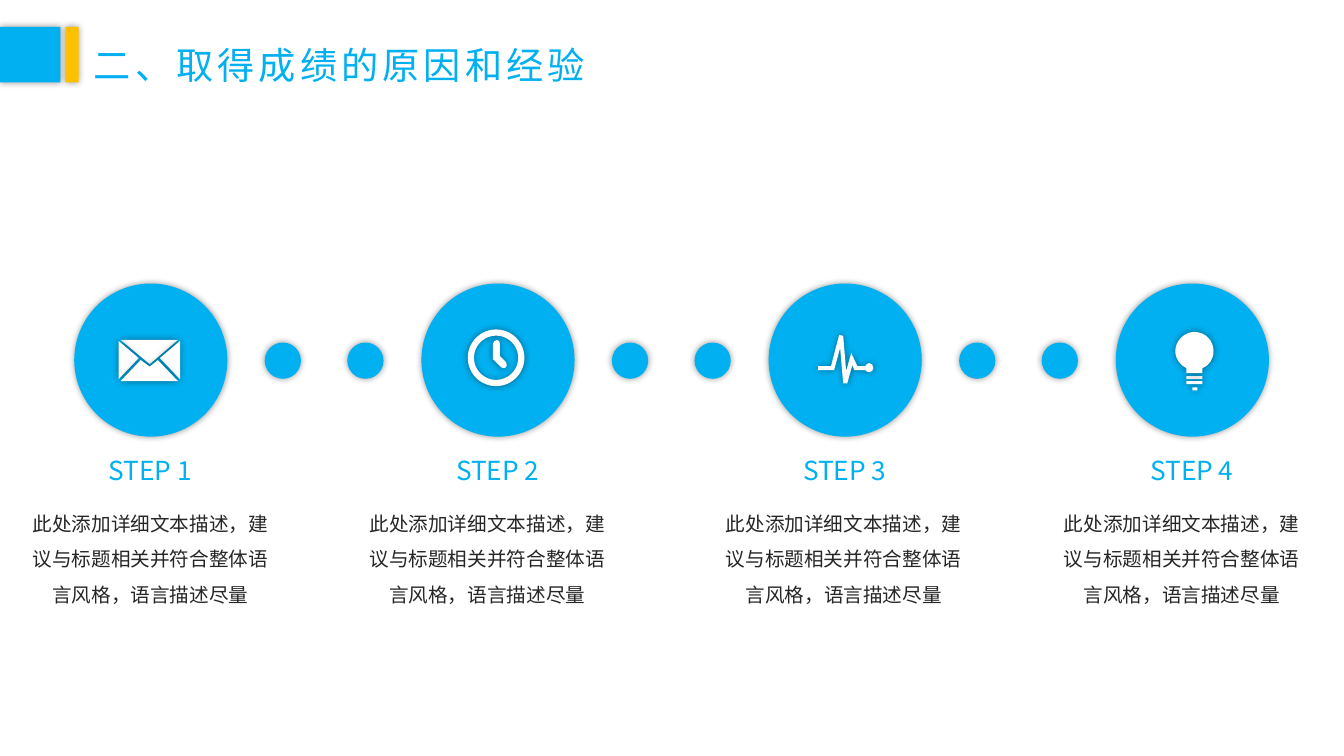
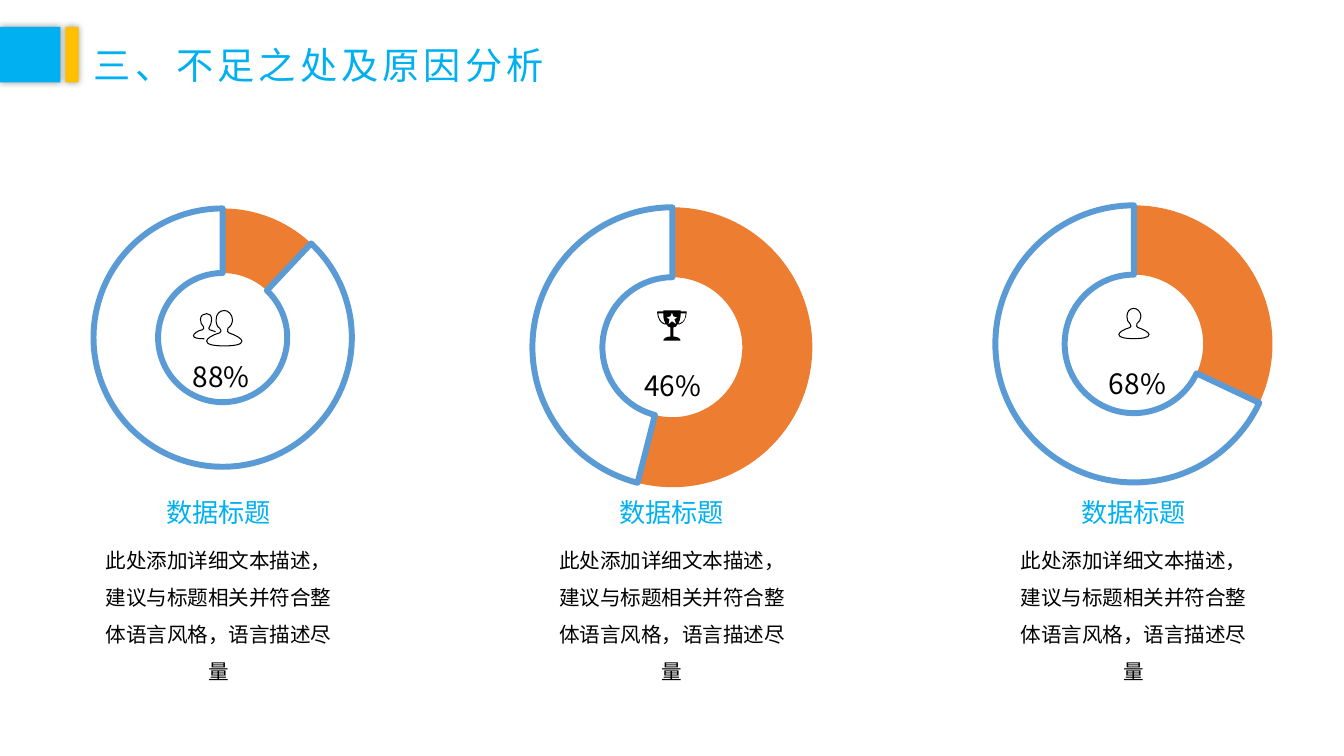
from lxml.etree import SubElement
from pptx import Presentation
from pptx.chart.data import CategoryChartData
from pptx.dml.color import RGBColor
from pptx.enum.chart import XL_CHART_TYPE
from pptx.enum.shapes import MSO_SHAPE
from pptx.enum.text import MSO_ANCHOR, MSO_AUTO_SIZE, PP_ALIGN
from pptx.oxml import parse_xml
from pptx.oxml.ns import nsdecls, qn
from pptx.util import Pt

BLUE, AMBER, ORANGE, RING = "00B0F0", "FFC000", "ED7D31", "5B9BD5"
WHITE, BLACK, DARK, TROPHY_BLACK = "FFFFFF", "000000", "262626", "040000"
FONT = "Noto Sans CJK SC"
DESCRIPTION = "此处添加详细文本描述，建议与标题相关并符合整体语言风格，语言描述尽量"

HEADING = {"size": Pt(18.65), "name": FONT}
STEP_BODY = {"size": Pt(14), "name": FONT}
DATA_BODY = {"size": Pt(14.65), "name": FONT}
TITLE = {"size": Pt(26.55), "name": FONT, "bold": False}
LABEL = {"size": Pt(20), "name": FONT, "bold": False}

ENVELOPE = [
    [(33.1, 40.3), (74.2, 40.3), (54, 57.6)],
    [(75.6, 41), (61.2, 53.3), (75.6, 68.4)],
    [(31.7, 41), (46.1, 53.3), (31.7, 68.4)],
    [(59.8, 54.7), (54, 59.4), (47.5, 54.7), (33.1, 69.8), (74.2, 69.8)],
]
CLOCK_HAND = [
    (59, 60.5), (58.3, 60.5, 57.6, 60.5, 56.9, 59.8), (51.8, 54.7),
    (51.1, 54.7, 51.1, 54, 51.1, 53.3), (51.1, 43.2),
    (51.1, 41.8, 52.6, 40.3, 54, 40.3), (55.4, 40.3, 56.2, 41.8, 56.2, 43.2),
    (56.2, 51.8), (60.5, 56.2), (61.2, 57.6, 61.2, 59, 60.5, 59.8),
]
PULSE = [
    (72, 56.9), (70.6, 56.9, 69.8, 57.6, 69.1, 59), (63.4, 59), (59, 49.7),
    (55.4, 62.6), (53.3, 37.4), (50.4, 36.7), (44.6, 59), (35.3, 59),
    (35.3, 61.9), (46.8, 61.9), (51.1, 46.1), (53.3, 71.3), (56.2, 71.3),
    (59.8, 58.3), (61.2, 61.9), (69.1, 61.9), (69.8, 62.6, 70.6, 63.4, 72, 63.4),
    (73.4, 63.4, 74.9, 61.9, 74.9, 60.5), (74.9, 58.3, 73.4, 56.9, 72, 56.9),
]
BULB = [
    (69.8, 48.2), (69.8, 41, 64.1, 34.6, 56.2, 34.6),
    (49, 34.6, 42.5, 41, 42.5, 48.2), (42.5, 54, 46.1, 58.3, 50.4, 60.5),
    (50.4, 64.1), (61.9, 64.1), (61.9, 60.5), (67, 58.3, 69.8, 54, 69.8, 48.2),
]
BULB_BASE = [(50.4, 66.2, 11.5, 2.2), (50.4, 69.8, 11.5, 2.2), (54.7, 74.2, 3.6, 2.2)]
PERSON = [
    (13.7, 13.7), (13, 13.7, 12.2, 12.2, 13, 10.8), (14.4, 10.1, 15.8, 7.9, 15.8, 5.8),
    (15.8, 2.2, 13, 0, 10.8, 0), (7.9, 0, 5.8, 2.2, 5.8, 5.8),
    (5.8, 7.9, 6.5, 10.1, 7.9, 10.8), (9.4, 12.2, 8.6, 13.7, 7.9, 13.7),
    (2.9, 15.1, 0, 17.3, 0, 18.7), (0, 20.9, 5, 21.6, 10.8, 21.6),
    (16.6, 21.6, 21.6, 20.9, 21.6, 18.7), (21.6, 17.3, 18, 15.1, 13.7, 13.7),
]
PERSON_BEHIND = [
    (15.8, 13), (14.4, 12.2, 13, 12.2, 11.5, 11.5), (10.8, 10.8, 10.8, 10.1, 11.5, 9.4),
    (12.2, 7.9, 13, 6.5, 13, 4.3), (13, 1.4, 11.5, 0, 9.4, 0),
    (7.2, 0, 5, 1.4, 5, 4.3), (5, 6.5, 5.8, 7.9, 7.2, 9.4),
    (7.9, 10.1, 7.2, 10.8, 6.5, 11.5), (2.9, 12.2, 0, 14.4, 0, 15.8),
    (0, 17.3, 2.9, 18, 7.9, 18),
]
TROPHY = [
    [(15.1, 10.1), (16.6, 10.1), (22.3, 7.9, 21.6, 0.7, 21.6, 0.7), (17.3, 0.7),
     (17.3, 0), (5, 0), (5, 0.7), (0.7, 0.7), (0.7, 0.7, 0, 7.9, 5.8, 10.1),
     (7.2, 10.1), (7.9, 11.5, 9.4, 12.2, 10.1, 12.2), (10.1, 18.7),
     (7.2, 18.7, 5, 20.2, 5, 21.6), (17.3, 21.6), (17.3, 20.2, 15.1, 18.7, 12.2, 18.7),
     (12.2, 12.2), (13.7, 12.2, 14.4, 11.5, 15.1, 10.1)],
    [(17.3, 4.3), (17.3, 2.2), (20.9, 2.2), (20.9, 3.6, 20.9, 7.9, 16.6, 9.4),
     (15.8, 9.4), (16.6, 7.9, 17.3, 5.8, 17.3, 4.3)],
    [(5.8, 9.4), (2.2, 7.9, 1.4, 3.6, 1.4, 2.2), (5, 2.2), (5, 4.3),
     (5, 5.8, 5.8, 7.9, 6.5, 9.4)],
    [(11.2, 7.9), (8.6, 10.1), (9.4, 6.5), (7.2, 5), (10.1, 4.3),
     (11.2, 1.4), (12.2, 4.3), (15.1, 5), (13, 6.5), (14.4, 10.1)],
]


def rgb(color):
    return RGBColor.from_string(color)


def apply(target, values):
    for name, value in values.items():
        setattr(target, name, value)


def style_shape(shape, fill=None, line=None, shadow=True):
    if fill:
        shape.fill.solid()
        shape.fill.fore_color.rgb = rgb(fill)
    else:
        shape.fill.background()
    if line:
        shape.line.color.rgb = rgb(line)
        shape.line.width = Pt(0)
    else:
        shape.line.fill.background()
    shape.shadow.inherit = False
    if shadow:
        effects = shape.element.spPr.find(qn("a:effectLst"))
        effects.append(parse_xml(
            f'<a:outerShdw {nsdecls("a")} blurRad="63500" dist="0" dir="0" algn="ctr" '
            'rotWithShape="0"><a:srgbClr val="000000"><a:alpha val="40000"/>'
            '</a:srgbClr></a:outerShdw>'))


def add_preset(shapes, kind, left, top, width, height, fill):
    shape = shapes.add_shape(kind, Pt(left), Pt(top), Pt(width), Pt(height))
    style_shape(shape, fill)
    return shape


def bend_segments(shape, contours):
    outline = shape.element.find(f'.//{qn("a:path")}')
    lines = iter(outline.findall(qn("a:lnTo")))
    for contour in contours:
        for segment in contour[1:]:
            nodes = [next(lines) for _ in range(len(segment) // 2)]
            if len(nodes) == 1:
                continue
            curve = parse_xml(f'<a:cubicBezTo {nsdecls("a")}/>')
            nodes[0].addprevious(curve)
            for node in nodes:
                curve.append(node[0])
                outline.remove(node)


def add_outline(shapes, left, top, contours, scale=1, close=True, **style):
    builder = None
    for contour in contours:
        points = [(Pt(left + x * scale), Pt(top + y * scale))
                  for segment in contour for x, y in zip(segment[::2], segment[1::2])]
        if builder is None:
            builder = shapes.build_freeform(*points[0], scale=1.0)
        else:
            builder.move_to(*points[0])
        builder.add_line_segments(points[1:], close=close)
    shape = builder.convert_to_shape()
    bend_segments(shape, contours)
    style_shape(shape, **style)


def write_text(frame, text, font, color, alignment, spacing):
    paragraph = frame.paragraphs[0]
    apply(paragraph, {"alignment": alignment, "line_spacing": spacing})
    run = paragraph.add_run()
    run.text = text
    apply(run.font, font)
    run.font.color.rgb = rgb(color)
    properties = run.font._element
    SubElement(properties, qn("a:ea")).set("typeface", FONT)
    return properties


def add_text(slide, center, top, width, height, text, font, color, spacing=1.5):
    box = slide.shapes.add_textbox(Pt(center - width / 2), Pt(top), Pt(width), Pt(height))
    box.text_frame.word_wrap = True
    write_text(box.text_frame, text, font, color, PP_ALIGN.CENTER, spacing)


def add_titled_slide(presentation, text):
    slide = presentation.slides.add_slide(presentation.slide_layouts[5])
    title = slide.shapes.title
    apply(title, {"left": Pt(59.8), "top": Pt(13.7),
                  "width": Pt(17 + 29.6 * len(text)), "height": Pt(49.7)})
    apply(title.text_frame, {"word_wrap": False, "auto_size": MSO_AUTO_SIZE.NONE,
                             "vertical_anchor": MSO_ANCHOR.MIDDLE})
    write_text(title.text_frame, text, TITLE, BLUE, PP_ALIGN.LEFT, 1.5).set("spc", "300")
    for left, width, color in ((0, 43.2, BLUE), (46.8, 9.4, AMBER)):
        add_preset(slide.shapes, MSO_SHAPE.RECTANGLE, left, 19.2, width, 39.6, color)
    return slide


def draw_envelope(shapes, left, top):
    for flap in ENVELOPE:
        add_outline(shapes, left, top, [flap], fill=WHITE)


def draw_clock(shapes, left, top):
    ring = add_preset(shapes, MSO_SHAPE.DONUT, left + 33.1, top + 32.8, 40.5, 40.5, WHITE)
    ring.adjustments[0] = 0.11
    add_outline(shapes, left, top, [CLOCK_HAND], fill=WHITE)


def draw_pulse(shapes, left, top):
    add_outline(shapes, left, top, [PULSE], fill=WHITE)


def draw_bulb(shapes, left, top):
    for x, y, width, height in BULB_BASE:
        add_preset(shapes, MSO_SHAPE.RECTANGLE, left + x, top + y, width, height, WHITE)
    add_outline(shapes, left, top, [BULB], fill=WHITE)


def draw_people(shapes, left, top):
    add_outline(shapes, left + 115.2, top + 85, [PERSON_BEHIND], close=False,
                line=BLACK, shadow=False)
    add_outline(shapes, left + 124.6, top + 82.8, [PERSON], scale=1.17,
                line=BLACK, shadow=False)


def draw_trophy(shapes, left, top):
    add_outline(shapes, left + 124.6, top + 83.5, TROPHY, fill=TROPHY_BLACK, shadow=False)


def draw_person(shapes, left, top):
    add_outline(shapes, left + 125.3, top + 83.5, [PERSON], line=BLACK, shadow=False)


def add_step(slide, left, top, number, draw_icon, description_left):
    size = 109.4
    group = slide.shapes.add_group_shape()
    add_preset(group.shapes, MSO_SHAPE.OVAL, left, top, size, size, BLUE)
    draw_icon(group.shapes, left, top)
    add_text(slide, left + 54.3, top + 118.6, 96, 30, f"STEP {number}", HEADING, BLUE, 1)
    add_text(slide, description_left + 92.5, top + 151.2, 185, 80.6,
             DESCRIPTION, STEP_BODY, DARK)


def add_doughnut(slide, left, top, share, diameter, label_shift):
    width, height = 272.2, 219.6
    data = CategoryChartData()
    data.categories = ["1", "2"]
    data.add_series("Series 1", (100 - share, share))
    chart = slide.shapes.add_chart(XL_CHART_TYPE.DOUGHNUT, Pt(left), Pt(top),
                                   Pt(width), Pt(height), data).chart
    apply(chart, {"has_legend": False, "has_title": False})
    apply(chart.font, {"size": Pt(10), "name": "Calibri"})
    chart.font.color.rgb = rgb(BLACK)
    plot = chart.plots[0]
    plot.vary_by_categories = True
    plot._element.find(qn("c:holeSize")).set("val", "90")
    series = plot.series[0]
    series.data_labels.show_value = False
    rest, shown = series.points[0], series.points[1]
    rest.format.fill.solid()
    rest.format.fill.fore_color.rgb = rgb(ORANGE)
    rest.format.line.fill.background()
    shown.format.fill.background()
    shown.format.line.color.rgb = rgb(RING)
    shown.format.line.width = Pt(4.25)
    apply(shown.data_label.font, LABEL)
    shown.data_label.font.color.rgb = rgb(BLACK)
    label = series._element.find(f'{qn("c:dLbls")}/{qn("c:dLbl")}')
    label.find(qn("c:showVal")).set("val", "0")
    label.find(qn("c:showPercent")).set("val", "1")
    label.insert(1, make_layout(x=label_shift[0], y=label_shift[1]))
    plot_area = plot._element.getparent()
    for layout in plot_area.findall(qn("c:layout")):
        plot_area.remove(layout)
    plot_area.insert(0, make_layout(
        layoutTarget="inner", xMode="edge", yMode="edge",
        x=(1 - diameter / width) / 2, y=0.045, w=diameter / width, h=diameter / height))


def make_layout(**values):
    layout = parse_xml(f'<c:layout {nsdecls("c")}><c:manualLayout/></c:layout>')
    for name, value in values.items():
        SubElement(layout[0], qn(f"c:{name}")).set("val", str(value))
    return layout


def add_data_column(slide, left, top, center, share, diameter, label_shift, draw_icon):
    add_doughnut(slide, left, top, share, diameter, label_shift)
    draw_icon(slide.shapes, left, top)
    add_text(slide, center, 339.8, 154.8, 41, "数据标题", HEADING, BLUE)
    add_text(slide, center, 379.4, 186.5, 110.9, DESCRIPTION, DATA_BODY, BLACK)


def build_steps_slide(presentation):
    slide = add_titled_slide(presentation, "二、取得成绩的原因和经验")
    first, pitch, top = 53, 248, 202.5
    for gap in range(3):
        for offset in (136.1, 195.1):
            add_preset(slide.shapes, MSO_SHAPE.OVAL, first + gap * pitch + offset,
                       top + 42.2, 25.9, 25.9, BLUE)
    icons = (draw_envelope, draw_clock, draw_pulse, draw_bulb)
    description_lefts = (15, 255.6, 510.2, 751.7)
    for index, (icon, description_left) in enumerate(zip(icons, description_lefts)):
        add_step(slide, first + index * pitch, top, index + 1, icon, description_left)


def build_data_slide(presentation):
    slide = add_titled_slide(presentation, "三、不足之处及原因分析")
    for column in (
        (23, 139, 155.9, 88, 184.6, (0.09, -0.17), draw_people),
        (344.2, 138.2, 479.9, 46, 200, (0.275, 0.165), draw_trophy),
        (673.9, 136.8, 809.5, 68, 198, (0.24, -0.055), draw_person),
    ):
        add_data_column(slide, *column)


def main():
    presentation = Presentation()
    apply(presentation, {"slide_width": Pt(960), "slide_height": Pt(540)})
    build_steps_slide(presentation)
    build_data_slide(presentation)
    presentation.save("out.pptx")


if __name__ == "__main__":
    main()
